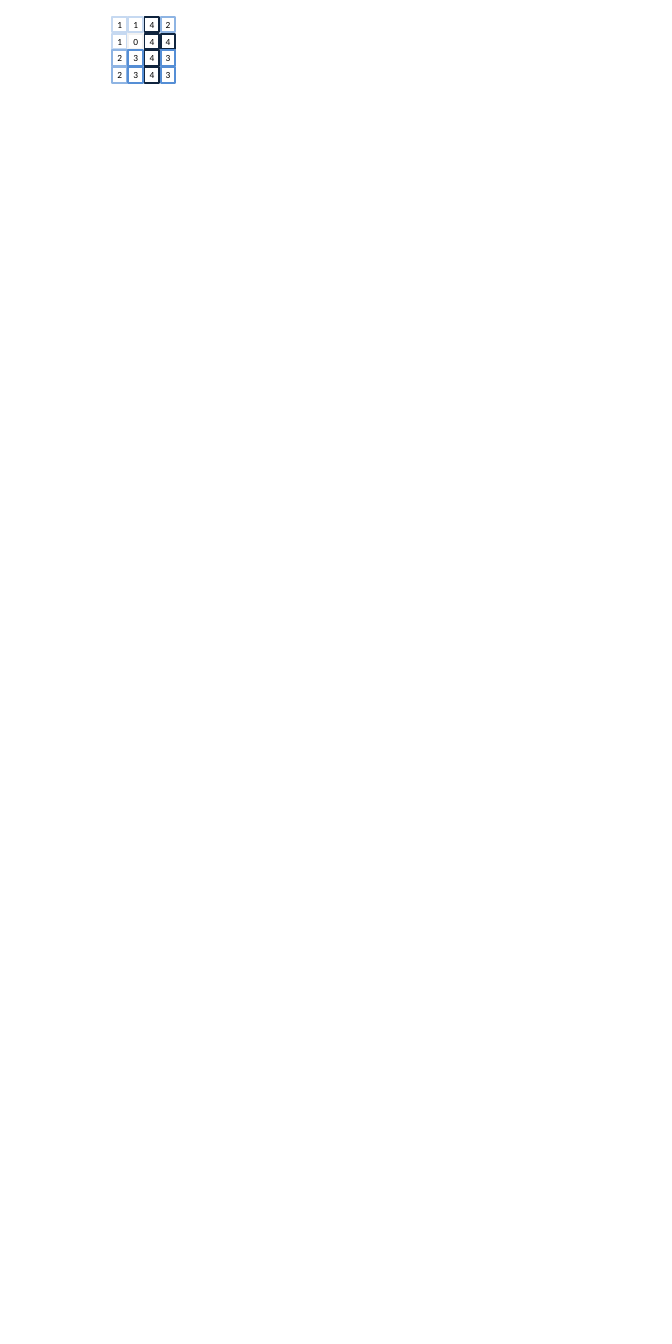
from pptx import Presentation
from pptx.dml.color import RGBColor
from pptx.enum.shapes import MSO_SHAPE
from pptx.enum.text import MSO_ANCHOR, PP_ALIGN
from pptx.util import Inches, Pt

WHITE = RGBColor(0xFF, 0xFF, 0xFF)
BLACK = RGBColor(0x00, 0x00, 0x00)
# Border colour for each value, 0 to 4
SHADES = [
    RGBColor(0xF2, 0xF2, 0xF2),
    RGBColor(0xC6, 0xD9, 0xF1),
    RGBColor(0x8E, 0xB4, 0xE3),
    RGBColor(0x55, 0x8E, 0xD5),
    RGBColor(0x0F, 0x24, 0x3E),
]
VALUES = [
    [1, 1, 4, 2],
    [1, 0, 4, 4],
    [2, 3, 4, 3],
    [2, 3, 4, 3],
]
GAP = 0.02


def write(shape, text, size=10, font="Calibri", color=BLACK):
    """Centre text in a shape that has no insets."""
    frame = shape.text_frame
    frame.margin_left = frame.margin_right = 0
    frame.margin_top = frame.margin_bottom = 0
    frame.word_wrap = True
    frame.vertical_anchor = MSO_ANCHOR.MIDDLE
    para = frame.paragraphs[0]
    para.alignment = PP_ALIGN.CENTER
    run = para.add_run()
    run.text = text
    run.font.size = Pt(size)
    run.font.name = font
    run.font.color.rgb = color


def add_cell(slide, value, left, top, width, height):
    """Draw one square, bordered by the shade of its value."""
    cell = slide.shapes.add_shape(
        MSO_SHAPE.RECTANGLE,
        Inches(left), Inches(top), Inches(width), Inches(height))
    cell.shadow.inherit = False
    cell.fill.solid()
    cell.fill.fore_color.rgb = WHITE
    cell.line.color.rgb = SHADES[value]
    cell.line.width = Pt(2)
    write(cell, str(value))


def add_grid(slide, values, left, top, width, height):
    """Fill the box with equal cells, a fixed gap apart."""
    step_x = (width + GAP) / len(values[0])
    step_y = (height + GAP) / len(values)
    for row, line in enumerate(values):
        for col, value in enumerate(line):
            add_cell(slide, value, left + col * step_x, top + row * step_y,
                     step_x - GAP, step_y - GAP)


def main():
    deck = Presentation()
    deck.slide_width = Inches(10)
    deck.slide_height = Inches(20)
    slide = deck.slides.add_slide(deck.slide_layouts[6])

    # Grid of values
    add_grid(slide, VALUES, left=1.67, top=0.25, width=0.94, height=0.98)

    deck.save("out.pptx")


if __name__ == "__main__":
    main()
